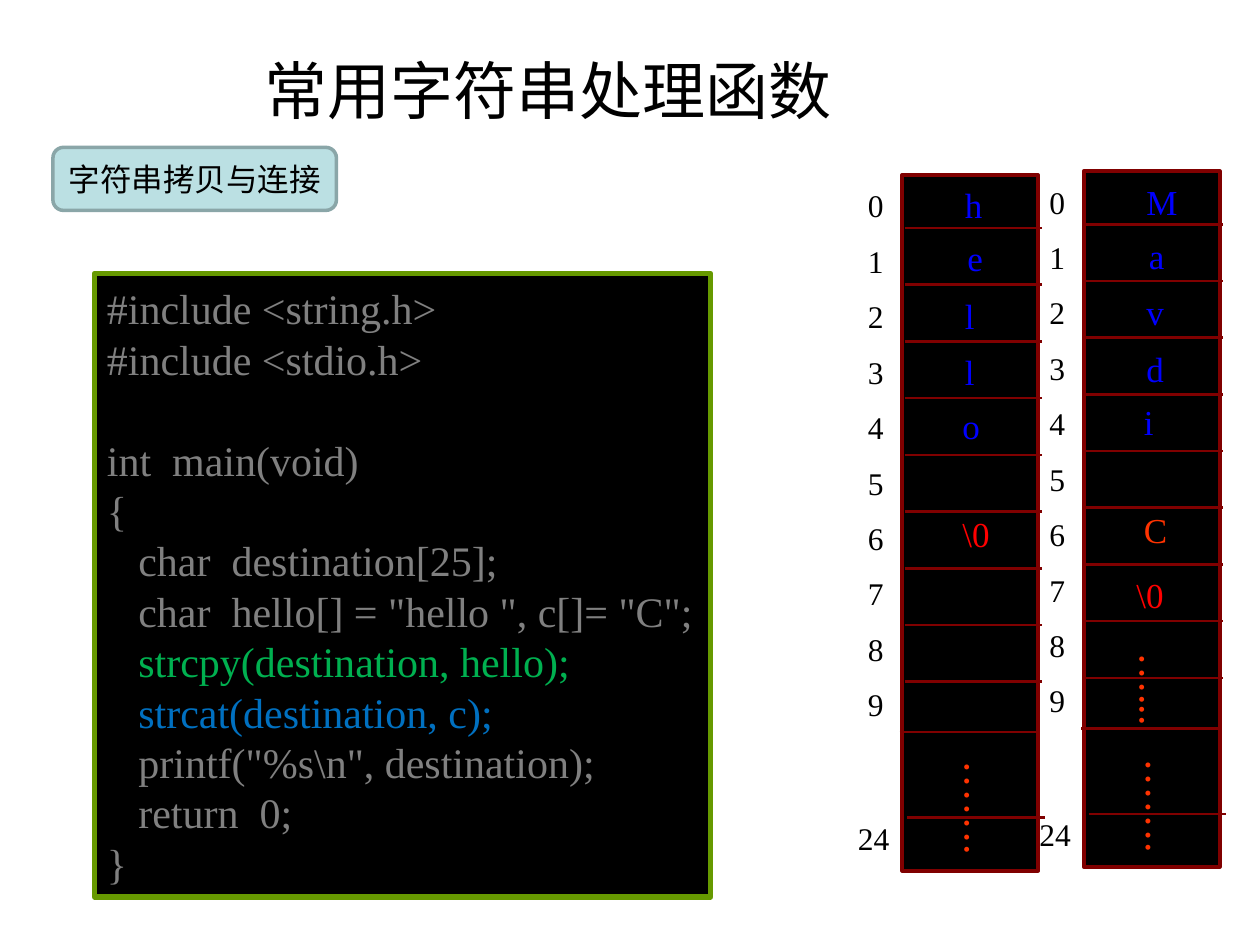
from dataclasses import dataclass

from lxml import etree
from pptx import Presentation
from pptx.dml.color import RGBColor
from pptx.enum.shapes import MSO_CONNECTOR, MSO_SHAPE
from pptx.enum.text import MSO_ANCHOR, MSO_AUTO_SIZE, PP_ALIGN
from pptx.oxml.ns import qn
from pptx.util import Inches, Pt

LINE = MSO_CONNECTOR.STRAIGHT
RECT, ROUND = MSO_SHAPE.RECTANGLE, MSO_SHAPE.ROUNDED_RECTANGLE
MIDDLE = MSO_ANCHOR.MIDDLE
GROW, FIXED = MSO_AUTO_SIZE.SHAPE_TO_FIT_TEXT, MSO_AUTO_SIZE.NONE
LEFT, CENTER = PP_ALIGN.LEFT, PP_ALIGN.CENTER


@dataclass(frozen=True)
class Theme:
    serif: str = "Times New Roman"
    sans: str = "Arial"
    han: str = "Noto Sans CJK SC"
    black: str = "000000"
    gray: str = "808080"
    copy: str = "00B050"
    join: str = "0070C0"
    char: str = "0000FF"
    null: str = "FF0000"
    dots: str = "FF3300"
    cell: str = "800000"
    frame: str = "669900"
    tag: str = "BBE0E3"
    edge: str = "8AA6A8"
    title: int = 36
    code: int = 24
    letter: int = 20
    index: int = 18


theme = Theme()


def write(shape, text, size, color, font=theme.serif, align=LEFT, vert=None):
    """Fill a shape with unwrapped text in one style and let it grow to fit."""
    frame = shape.text_frame
    frame.text = text
    frame.word_wrap = False
    frame.auto_size = GROW
    if vert:
        frame._txBody.bodyPr.set("vert", vert)
    for para in frame.paragraphs:
        para.alignment = align
        para.font.size = Pt(size)
        for run in para.runs:
            run.font.size = Pt(size)
            run.font.name = font
            run.font.color.rgb = RGBColor.from_string(color)
            if font == theme.han:
                east = etree.SubElement(run._r.get_or_add_rPr(), qn("a:ea"))
                east.set("typeface", font)
    return frame


def block(shapes, kind, box, fill, line, width):
    """Add a filled, outlined shape without a shadow."""
    shape = shapes.add_shape(kind, *map(Inches, box))
    shape.shadow.inherit = False
    shape.fill.solid()
    shape.fill.fore_color.rgb = RGBColor.from_string(fill)
    shape.line.color.rgb = RGBColor.from_string(line)
    shape.line.width = Pt(width)
    return shape


deck = Presentation()
deck.slide_width, deck.slide_height = Inches(10), Inches(7.5)
slide = deck.slides.add_slide(deck.slide_layouts[6])

# Title
title = slide.shapes.add_textbox(*map(Inches, (1.33, 0.25, 8.17, 0.92)))
frame = write(title, "常用字符串处理函数", theme.title, theme.black, theme.han)
frame.word_wrap = True
frame.auto_size = FIXED
frame.vertical_anchor = MIDDLE
frame.margin_left = Inches(0.77)

# Program
code = r'''#include <string.h>
#include <stdio.h>

int  main(void)
{
   char  destination[25];
   char  hello[] = "hello ", c[]= "C";
   strcpy(destination, hello);
   strcat(destination, c);
   printf("%s\n", destination);
   return  0;
}'''
panel = block(slide.shapes, RECT, (0.75, 2.17, 4.89, 4.95),
              theme.black, theme.frame, 3)
frame = write(panel, code, theme.code, theme.gray)
frame.vertical_anchor = MIDDLE
for row, color in ((7, theme.copy), (8, theme.join)):
    frame.paragraphs[row].runs[0].font.color.rgb = RGBColor.from_string(color)

# Memory arrays: corner, letters (text, x, y, width, colour), dots (x, y, height)
arrays = [
    (7.16, 1.39,
     [("h", 0.4, 0.02, 0.34, theme.char), ("e", 0.42, 0.44, 0.32, theme.char),
      ("l", 0.4, 0.9, 0.28, theme.char), ("l", 0.4, 1.34, 0.28, theme.char),
      ("o", 0.38, 1.77, 0.34, theme.char), (r"\0", 0.38, 2.63, 0.42, theme.null)],
     [("…….", 0.28, 4.55, 0.85)]),
    (8.6, 1.36,
     [("M", 0.4, 0.02, 0.37, theme.char), ("a", 0.42, 0.45, 0.34, theme.char),
      ("v", 0.4, 0.9, 0.29, theme.char), ("d", 0.4, 1.35, 0.34, theme.char),
      ("i", 0.38, 1.77, 0.34, theme.char), ("C", 0.38, 2.63, 0.39, theme.dots),
      (r"\0", 0.32, 3.14, 0.42, theme.null)],
     [("…….", 0.28, 4.56, 0.85), ("…...", 0.23, 3.72, 0.68)]),
]
rules = [(0.02, 0.42 + 0.45 * i) for i in range(9)] + [(-0.02, 4.42), (0.04, 5.1)]
marks = [(str(i), -0.37, 0.04 + 0.44 * i, 0.33) for i in range(10)]
marks.append(("24", -0.45, 5.06, 0.45))

for left, top, letters, dots in arrays:
    group = slide.shapes.add_group_shape().shapes
    block(group, RECT, (left, top, 1.08, 5.52), theme.black, theme.cell, 2.25)
    for x, y in rules:
        ends = (left + x, top + y, left + x + 1.09, top + y)
        rule = group.add_connector(LINE, *map(Inches, ends))
        rule.line.color.rgb = RGBColor.from_string(theme.cell)
        rule.line.width = Pt(1.5)
        etree.SubElement(rule._element.spPr, qn("a:effectLst"))
    items = [(t, x, y, w, 0.44, theme.letter, c, None) for t, x, y, w, c in letters]
    items += [(t, x, y, w, 0.4, theme.index, theme.black, None)
              for t, x, y, w in marks]
    items += [(t, x, y, 0.6, h, theme.code, theme.dots, "eaVert")
              for t, x, y, h in dots]
    for text, x, y, w, h, size, color, vert in items:
        box = group.add_textbox(*map(Inches, (left + x, top + y, w, h)))
        write(box, text, size, color, vert=vert)

# Topic tag
tag = block(slide.shapes, ROUND, (0.42, 1.17, 2.25, 0.5), theme.tag, theme.edge, 2)
frame = write(tag, "字符串拷贝与连接", theme.index, theme.black, theme.sans, CENTER)
frame.auto_size = FIXED
frame.vertical_anchor = MIDDLE

deck.save("out.pptx")
